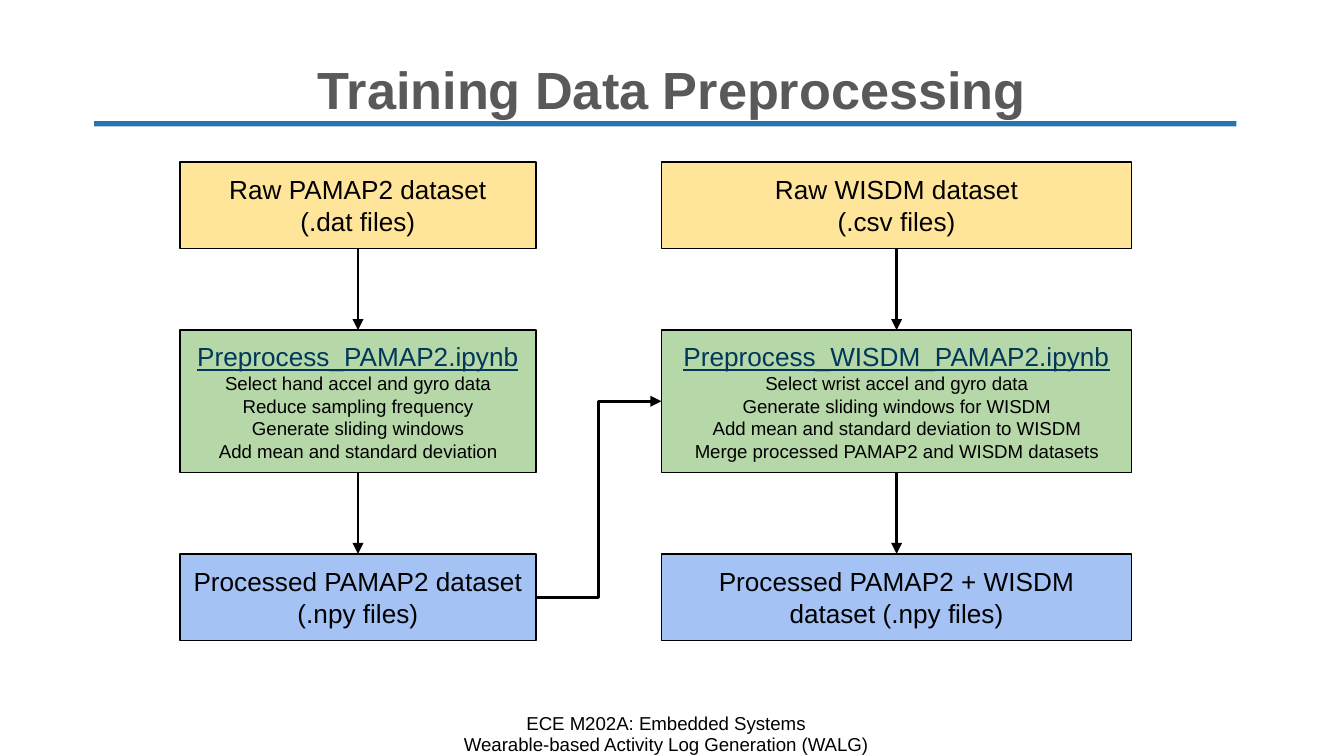
from lxml import etree
from pptx import Presentation
from pptx.dml.color import RGBColor
from pptx.enum.shapes import MSO_CONNECTOR, MSO_SHAPE
from pptx.enum.text import MSO_ANCHOR, PP_ALIGN
from pptx.oxml.ns import qn
from pptx.util import Cm, Pt

RECT = MSO_SHAPE.RECTANGLE
STRAIGHT, ELBOW = MSO_CONNECTOR.STRAIGHT, MSO_CONNECTOR.ELBOW
TOP, MIDDLE = MSO_ANCHOR.TOP, MSO_ANCHOR.MIDDLE
CENTER = PP_ALIGN.CENTER
TOP_SIDE, LEFT_SIDE, BOTTOM_SIDE, RIGHT_SIDE = range(4)

BLACK = RGBColor(0x00, 0x00, 0x00)
GREY = RGBColor(0x58, 0x59, 0x5B)
RULE_BLUE = RGBColor(0x27, 0x74, 0xAE)
LINK_BLUE = RGBColor(0x00, 0x37, 0x5B)
YELLOW = RGBColor(0xFF, 0xE5, 0x99)
GREEN = RGBColor(0xB6, 0xD7, 0xA8)
BLUE = RGBColor(0xA4, 0xC2, 0xF4)

# Flowchart rows: fill and height in cm, stacked with an equal gap
ROWS = [(YELLOW, 1.64), (GREEN, 2.69), (BLUE, 1.64)]
FIRST_TOP, GAP = 3.06, 1.54

# Flowchart columns: left and width in cm, then the lines of each box
COLUMNS = [
    (3.4, 6.73, [
        ["Raw PAMAP2 dataset", "(.dat files)"],
        ["Preprocess_PAMAP2.ipynb", "Select hand accel and gyro data",
         "Reduce sampling frequency", "Generate sliding windows",
         "Add mean and standard deviation"],
        ["Processed PAMAP2 dataset", "(.npy files)"],
    ]),
    (12.5, 8.89, [
        ["Raw WISDM dataset", "(.csv files)"],
        ["Preprocess_WISDM_PAMAP2.ipynb", "Select wrist accel and gyro data",
         "Generate sliding windows for WISDM",
         "Add mean and standard deviation to WISDM",
         "Merge processed PAMAP2 and WISDM datasets"],
        ["Processed PAMAP2 + WISDM dataset (.npy files)"],
    ]),
]


def setup_frame(sp, anchor=MIDDLE, inset=0.0):
    tf = sp.text_frame
    tf.word_wrap = True
    tf.vertical_anchor = anchor
    tf.margin_left = tf.margin_right = Cm(inset)
    tf.margin_top = tf.margin_bottom = Cm(inset)
    return tf


def add_text(tf, text, size=14, color=BLACK, bold=False, underline=False,
             spacing=1.0):
    """Write one centred paragraph, using the empty first one if there is one."""
    p = tf.paragraphs[-1]
    if p.runs:
        p = tf.add_paragraph()
    p.alignment = CENTER
    p.line_spacing = spacing
    r = p.add_run()
    r.text = text
    r.font.name = "Arial"
    r.font.size = Pt(size)
    r.font.bold = bold
    r.font.underline = underline
    r.font.color.rgb = color


def add_text_box(s, left, top, width, height, anchor):
    sp = s.shapes.add_textbox(Cm(left), Cm(top), Cm(width), Cm(height))
    return setup_frame(sp, anchor)


def add_rect(s, left, top, width, height, fill, line=None):
    sp = s.shapes.add_shape(RECT, Cm(left), Cm(top), Cm(width), Cm(height))
    sp.shadow.inherit = False
    sp.fill.solid()
    sp.fill.fore_color.rgb = fill
    if line is None:
        sp.line.fill.background()
    else:
        sp.line.color.rgb = line
        sp.line.width = Pt(0.75)
    return sp


def add_step(s, left, top, width, height, fill, lines):
    """Draw a flowchart box; a notebook box has a link-like heading."""
    sp = add_rect(s, left, top, width, height, fill, BLACK)
    tf = setup_frame(sp, inset=0.25)
    if fill == GREEN:
        heading, *details = lines
        add_text(tf, heading, color=LINK_BLUE, underline=True)
        for detail in details:
            add_text(tf, detail, size=10)
    else:
        for line in lines:
            add_text(tf, line)
    return sp


def add_arrow(s, kind, start, start_side, end, end_side):
    cx = s.shapes.add_connector(kind, 0, 0, 0, 0)
    cx.begin_connect(start, start_side)
    cx.end_connect(end, end_side)
    cx.line.color.rgb = BLACK
    cx.line.width = Pt(1.5)
    ln = cx.line._get_or_add_ln()
    etree.SubElement(ln, qn("a:tailEnd"), type="triangle")
    etree.SubElement(ln.getparent(), qn("a:effectLst"))


def add_column(s, left, width, texts):
    """Stack the boxes of one column and join them with arrows."""
    steps, top = [], FIRST_TOP
    for (fill, height), lines in zip(ROWS, texts):
        steps.append(add_step(s, left, top, width, height, fill, lines))
        top += height + GAP
    for upper, lower in zip(steps, steps[1:]):
        add_arrow(s, STRAIGHT, upper, BOTTOM_SIDE, lower, TOP_SIDE)
    return steps


def main():
    prs = Presentation()
    prs.slide_width, prs.slide_height = Cm(25.4), Cm(14.29)
    s = prs.slides.add_slide(prs.slide_layouts[6])

    # Rule, footer and title
    add_rect(s, 1.78, 2.29, 21.59, 0.1, RULE_BLUE)
    tf = add_text_box(s, 6.35, 13.51, 12.47, 1.02, TOP)
    tf.margin_bottom = Cm(0.71)
    for line in ("ECE M202A: Embedded Systems",
                 "Wearable-based Activity Log Generation (WALG)"):
        add_text(tf, line, size=10, spacing=0.9)
    tf = add_text_box(s, 1.75, 1.02, 21.89, 1.47, MIDDLE)
    add_text(tf, "Training Data Preprocessing", size=28, color=GREY,
             bold=True, spacing=0.9)

    # Flowchart: the PAMAP2 result feeds the WISDM notebook
    pamap2, wisdm = [add_column(s, *column) for column in COLUMNS]
    add_arrow(s, ELBOW, pamap2[2], RIGHT_SIDE, wisdm[1], LEFT_SIDE)

    prs.save("out.pptx")


if __name__ == "__main__":
    main()
